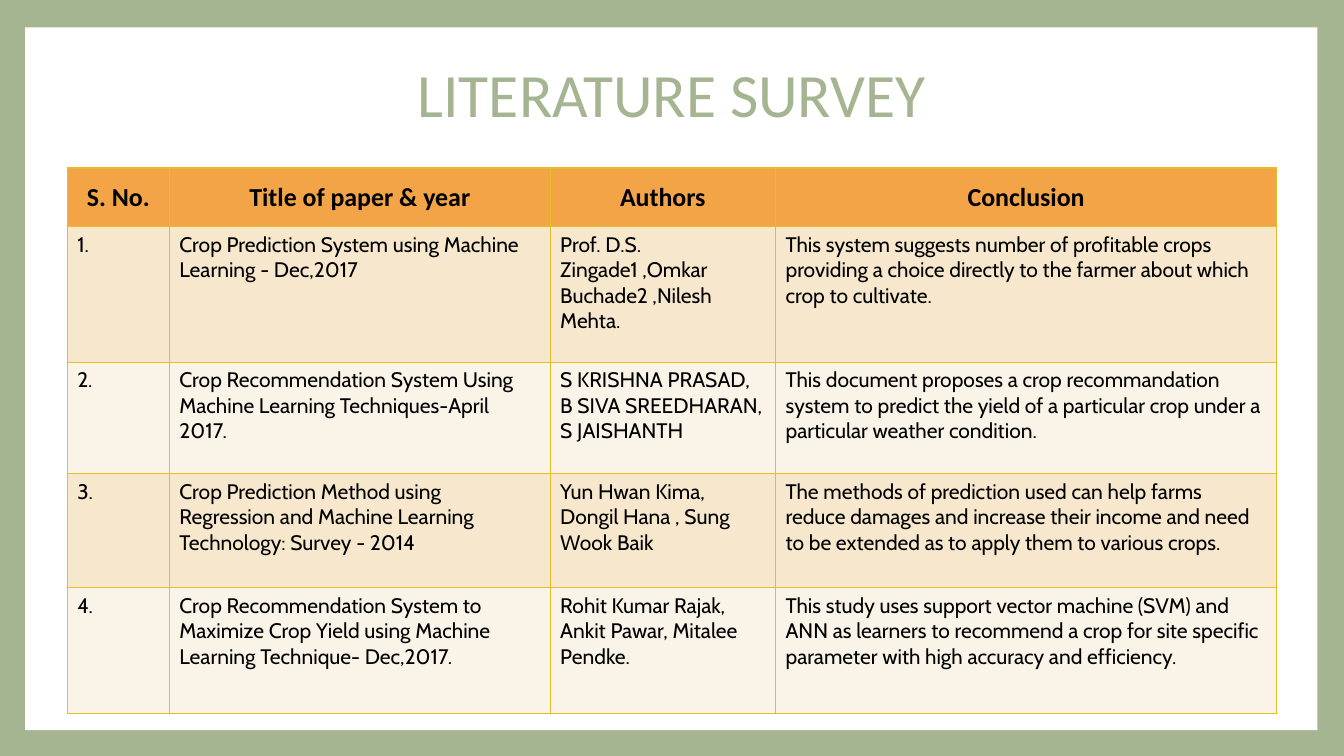
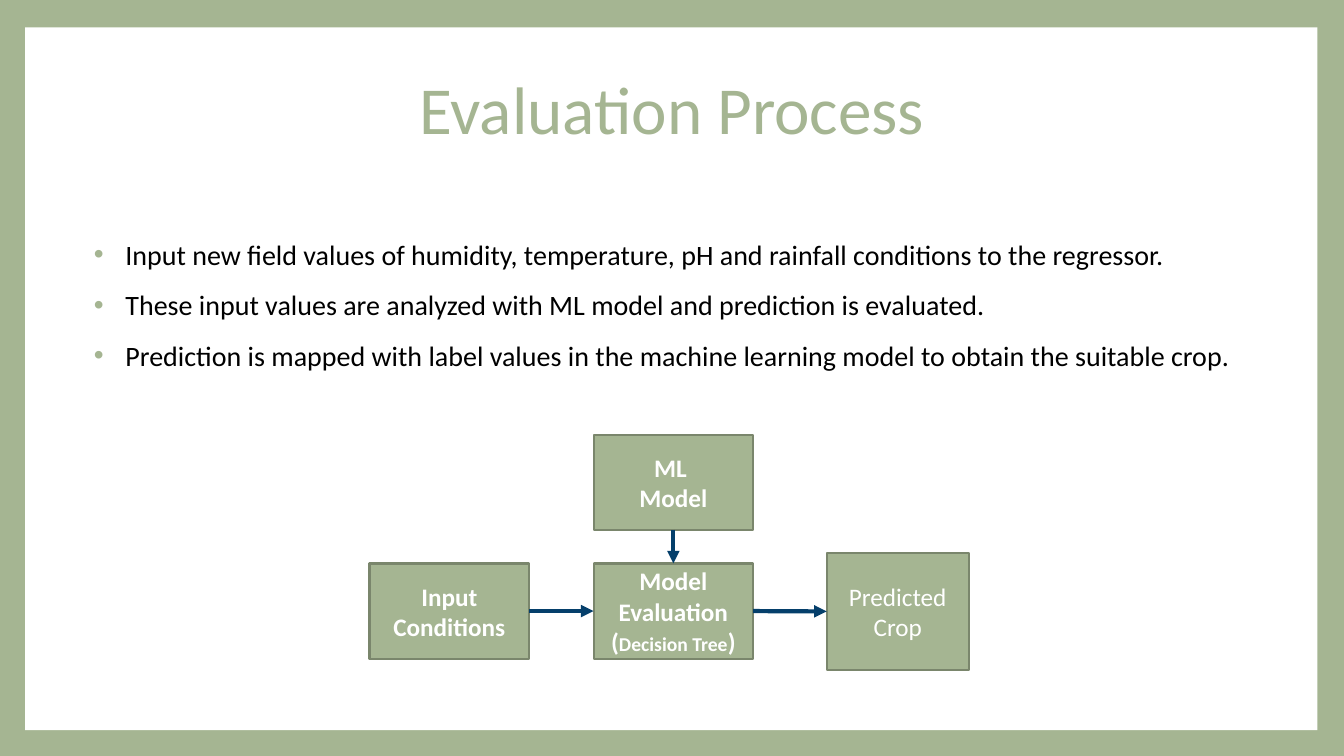
from lxml import etree
from pptx import Presentation
from pptx.dml.color import RGBColor
from pptx.enum.shapes import MSO_CONNECTOR, MSO_SHAPE
from pptx.enum.text import MSO_ANCHOR, MSO_AUTO_SIZE, PP_ALIGN
from pptx.oxml import parse_xml
from pptx.oxml.ns import nsdecls, qn
from pptx.util import Pt

COLORS = {
    "green": "A5B592", "green_edge": "7A866C", "white": "FFFFFF",
    "black": "000000", "navy": "053F6B", "gold": "E7BC29",
    "header": "F3A447", "band_dark": "F6E7CD", "band_light": "FAF3E8",
}
HEADING_FONT, TABLE_FONT = "Calibri", "Cabin"
TOP, LEFT, BOTTOM, RIGHT = range(4)  # connection sites of a rectangle

COLUMN_WIDTHS = [73, 272, 161, 358]
ROW_HEIGHTS = [42, 97, 79.5, 81.5, 89.5]
SURVEY = [
    ("S. No.", "Title of paper & year", "Authors", "Conclusion"),
    ("1.", "Crop Prediction System using Machine Learning - Dec,2017",
     "Prof. D.S. Zingade1 ,Omkar Buchade2 ,Nilesh Mehta.",
     "This system suggests number of profitable crops providing a choice "
     "directly to the farmer about which crop to cultivate."),
    ("2.", "Crop Recommendation System Using Machine Learning "
     "Techniques-April 2017.",
     "S KRISHNA PRASAD, B SIVA SREEDHARAN, S JAISHANTH",
     "This document proposes a crop recommandation system to predict the "
     "yield of a particular crop under a particular weather condition."),
    ("3.", "Crop Prediction Method using Regression and Machine Learning "
     "Technology: Survey - 2014",
     "Yun Hwan Kima, Dongil Hana , Sung Wook Baik",
     "The methods of prediction used can help farms reduce damages and "
     "increase their income and need to be extended as to apply them to "
     "various crops."),
    ("4.", "Crop Recommendation System to Maximize Crop Yield using Machine "
     "Learning Technique- Dec,2017.",
     "Rohit Kumar Rajak, Ankit Pawar, Mitalee Pendke.",
     "This study uses support vector machine (SVM) and ANN as learners to "
     "recommend a crop for site specific parameter with high accuracy and "
     "efficiency."),
]
STEPS = [
    "Input new field values of humidity, temperature, pH and rainfall "
    "conditions to the regressor.",
    "These input values are analyzed with ML model and prediction is "
    "evaluated.",
    "Prediction is mapped with label values in the machine learning model "
    "to obtain the suitable crop.",
]


def rgb(name):
    return RGBColor.from_string(COLORS[name])


def paint(target, color):
    target.fill.solid()
    target.fill.fore_color.rgb = rgb(color)


def format_text(tf, size, color, font=HEADING_FONT, bold=False, align=None):
    for p in tf.paragraphs:
        p.alignment = align
        for r in p.runs:
            r.font.name, r.font.size, r.font.bold = font, Pt(size), bold
            r.font.color.rgb = rgb(color)


def add_rect(slide, x, y, w, h, fill):
    s = slide.shapes.add_shape(MSO_SHAPE.RECTANGLE, Pt(x), Pt(y), Pt(w), Pt(h))
    s.shadow.inherit = False
    paint(s, fill)
    s.line.fill.background()
    return s


def set_up_master(prs, slide):
    """Give the master the green frame; the panel is made on slide and moved."""
    master = prs.slide_master
    paint(master.background, "green")
    panel = add_rect(slide, 18, 19.5, 923, 502, "white")._element
    panel.nvSpPr.cNvPr.set("id", "100")
    master.shapes._spTree.insert(2, panel)


def add_title_slide(prs):
    return prs.slides.add_slide(prs.slide_layouts[5])


def set_title(slide, text, x, y, w, h, size):
    s = slide.shapes.title
    s.left, s.top, s.width, s.height = Pt(x), Pt(y), Pt(w), Pt(h)
    tf = s.text_frame
    tf.text = text
    tf.auto_size = MSO_AUTO_SIZE.NONE
    tf.vertical_anchor = MSO_ANCHOR.MIDDLE
    format_text(tf, size, "green", align=PP_ALIGN.CENTER)


def add_borders(cell, color, width):
    tc_pr = cell._tc.get_or_add_tcPr()
    for side in "LRTB":
        tc_pr.append(parse_xml(
            f'<a:ln{side} {nsdecls("a")} w="{Pt(width)}"><a:solidFill>'
            f'<a:srgbClr val="{COLORS[color]}"/></a:solidFill></a:ln{side}>'))


def add_survey_table(slide, x, y):
    table = slide.shapes.add_table(
        len(SURVEY), len(COLUMN_WIDTHS), Pt(x), Pt(y),
        Pt(sum(COLUMN_WIDTHS)), Pt(sum(ROW_HEIGHTS))).table
    table.first_row = table.horz_banding = False
    for column, width in zip(table.columns, COLUMN_WIDTHS):
        column.width = Pt(width)
    for i, (row, height) in enumerate(zip(table.rows, ROW_HEIGHTS)):
        row.height = Pt(height)
        for cell, text in zip(row.cells, SURVEY[i]):
            cell.text = text
            add_borders(cell, "gold", 1)
            if i == 0:
                paint(cell, "header")
                cell.vertical_anchor = MSO_ANCHOR.MIDDLE
                format_text(cell.text_frame, 18.5, "black", bold=True,
                            align=PP_ALIGN.CENTER)
            else:
                paint(cell, "band_dark" if i % 2 else "band_light")
                format_text(cell.text_frame, 15, "black", TABLE_FONT)


def add_bullets(slide, items, x, y, w, h):
    tf = slide.shapes.add_textbox(Pt(x), Pt(y), Pt(w), Pt(h)).text_frame
    tf.word_wrap = True
    tf.text = "\n".join(items)
    format_text(tf, 20, "black")
    for p in tf.paragraphs:
        p.line_spacing = 1.5
        p_pr = p._p.get_or_add_pPr()
        p_pr.set("marL", str(Pt(22.5)))
        p_pr.set("indent", str(-Pt(22.5)))
        color = etree.SubElement(p_pr, qn("a:buClr"))
        etree.SubElement(color, qn("a:srgbClr"), val=COLORS["green"])
        etree.SubElement(p_pr, qn("a:buFont"), typeface="Arial")
        etree.SubElement(p_pr, qn("a:buChar"), char="•")


def add_box(slide, text, x, y, w=114, h=68, bold=True):
    s = add_rect(slide, x, y, w, h, "green")
    s.line.color.rgb = rgb("green_edge")
    s.line.width = Pt(1.5)
    tf = s.text_frame
    tf.word_wrap = True
    tf.vertical_anchor = MSO_ANCHOR.MIDDLE
    tf.text = text
    format_text(tf, 18, "white", bold=bold, align=PP_ALIGN.CENTER)
    return s


def add_arrow(slide, start, start_site, end, end_site):
    c = slide.shapes.add_connector(MSO_CONNECTOR.STRAIGHT, 0, 0, 0, 0)
    c.begin_connect(start, start_site)
    c.end_connect(end, end_site)
    c.line.color.rgb = rgb("navy")
    c.line.width = Pt(3)
    etree.SubElement(c.line._get_or_add_ln(), qn("a:tailEnd"), type="triangle")
    etree.SubElement(c._element.spPr, qn("a:effectLst"))


def add_evaluation_flow(slide):
    inputs = add_box(slide, "Input Conditions", 264, 402.5)
    model = add_box(slide, "ML \nModel", 424, 310.5)
    evaluation = add_box(slide, "Model Evaluation\n(", 424, 402.5)
    crop = add_box(slide, "Predicted Crop", 590.5, 395, 101.5, 83.5, bold=False)

    tf = evaluation.text_frame
    for text in ("Decision Tree", ")"):
        tf.paragraphs[1].add_run().text = text
    format_text(tf, 18, "white", bold=True, align=PP_ALIGN.CENTER)
    tf.paragraphs[1].runs[1].font.size = Pt(14)

    add_arrow(slide, inputs, RIGHT, evaluation, LEFT)
    add_arrow(slide, model, BOTTOM, evaluation, TOP)
    add_arrow(slide, evaluation, RIGHT, crop, LEFT)


def main():
    prs = Presentation()
    prs.slide_width, prs.slide_height = Pt(960), Pt(540)

    survey = add_title_slide(prs)
    set_up_master(prs, survey)
    set_title(survey, "LITERATURE SURVEY", 240, 36, 480, 60.5, 44)
    add_survey_table(survey, 48, 120)

    evaluation = add_title_slide(prs)
    set_title(evaluation, "Evaluation Process", 256, 44, 448, 65.5, 48)
    add_bullets(evaluation, STEPS, 60, 154, 842, 112.5)
    add_evaluation_flow(evaluation)

    prs.save("out.pptx")


if __name__ == "__main__":
    main()
